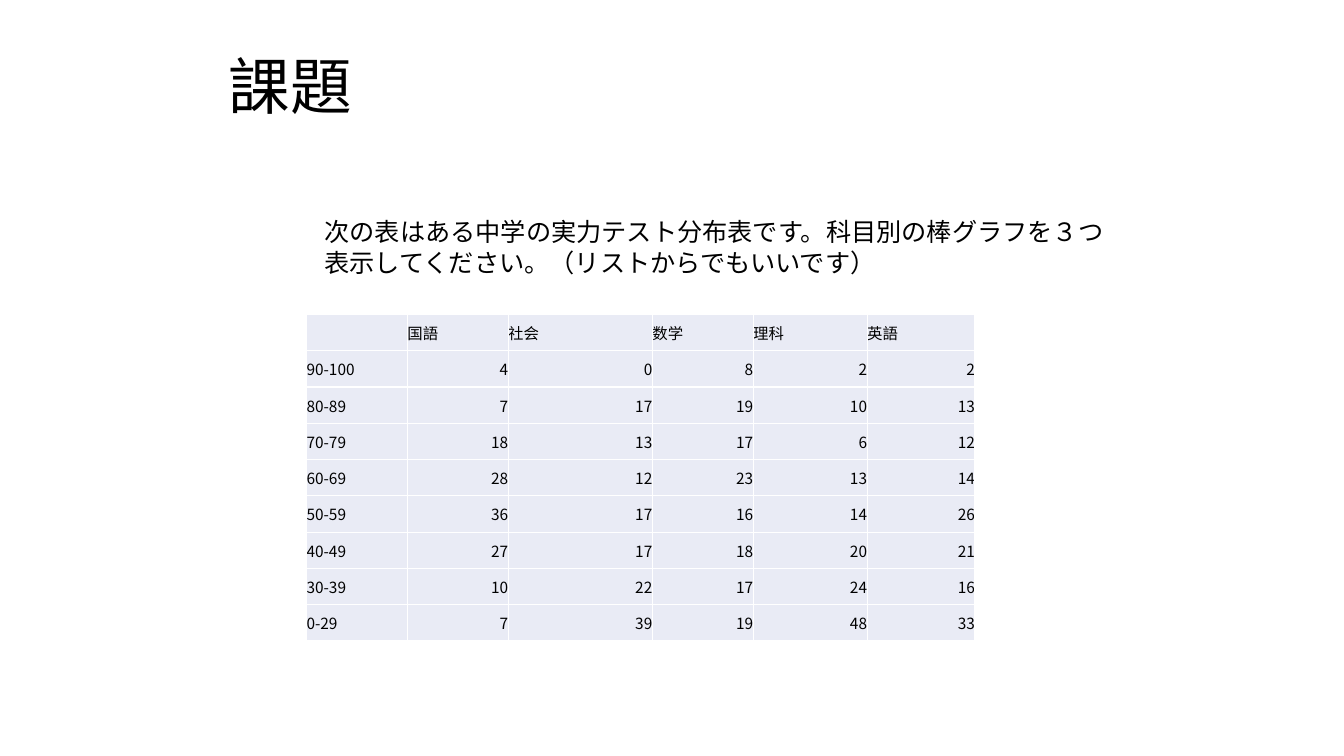
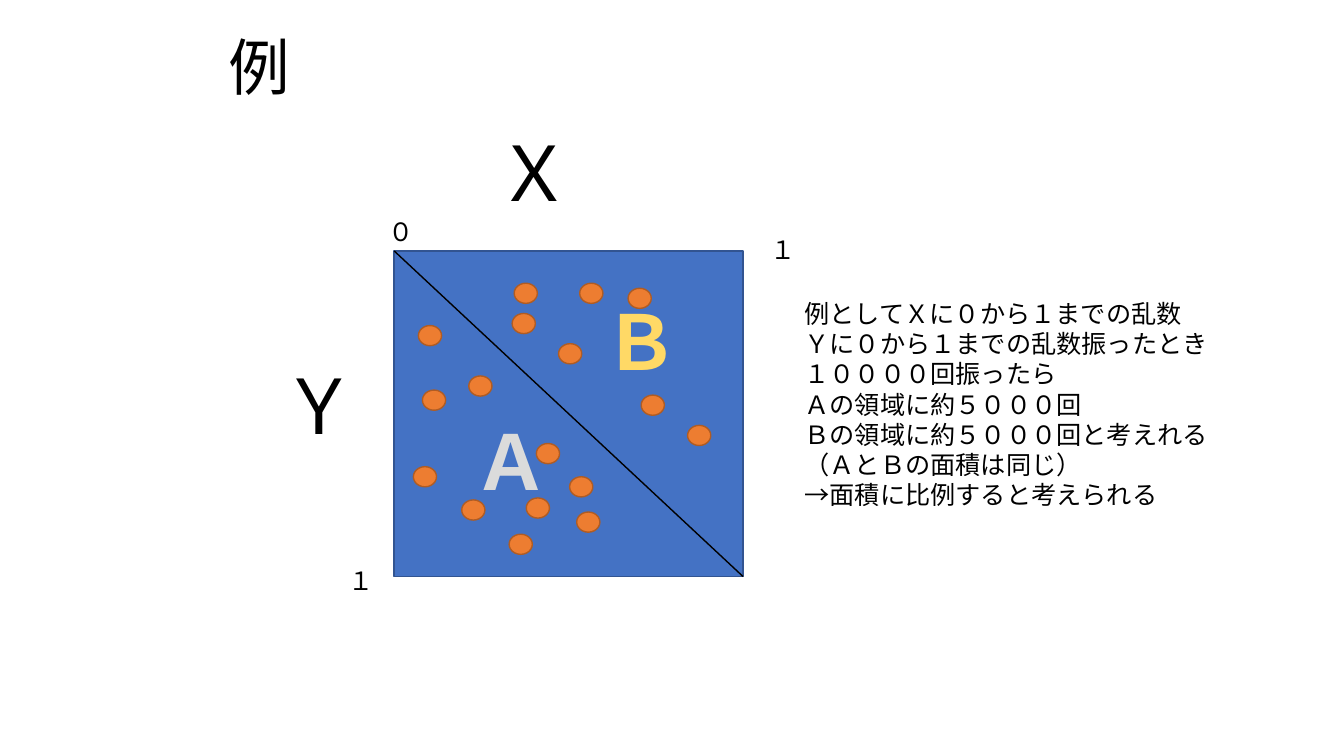
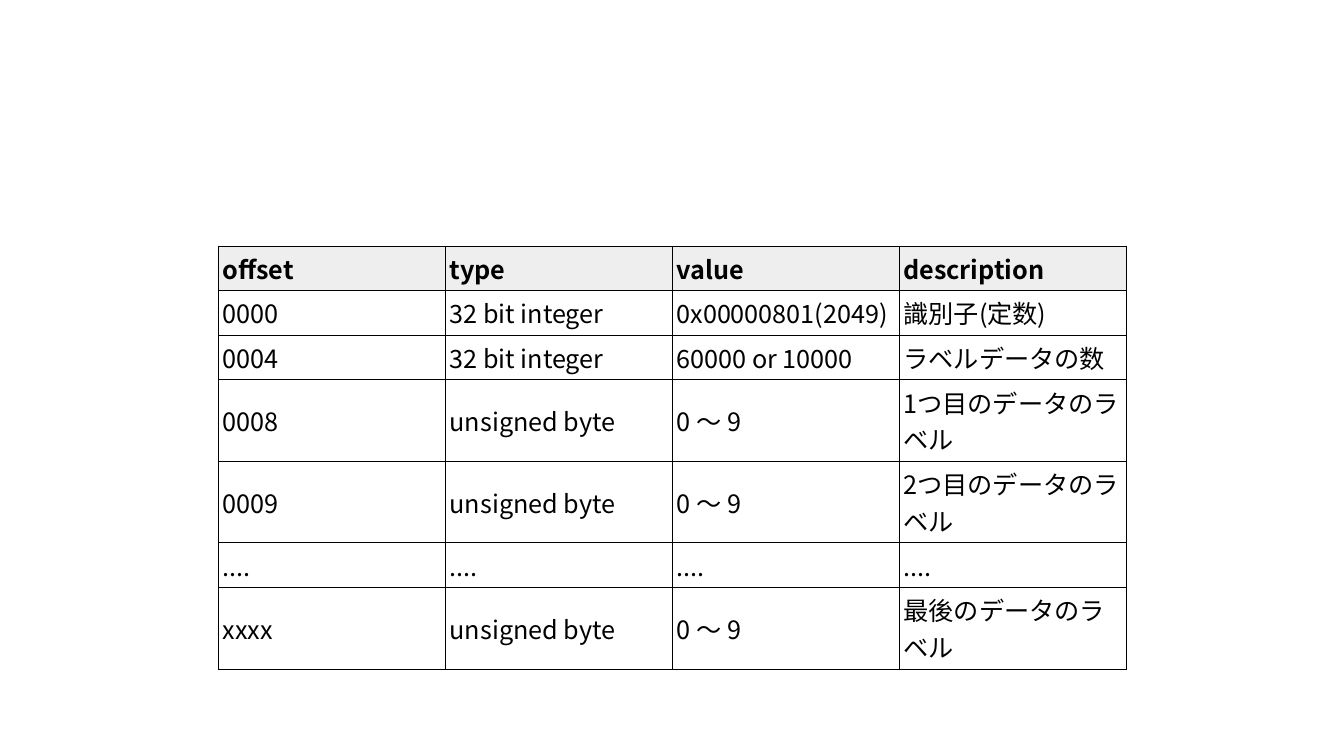
from lxml.etree import SubElement
from pptx import Presentation
from pptx.dml.color import RGBColor
from pptx.enum.shapes import MSO_CONNECTOR, MSO_SHAPE
from pptx.enum.text import MSO_ANCHOR, MSO_AUTO_SIZE, PP_ALIGN
from pptx.oxml.ns import qn
from pptx.util import Inches, Pt

FONT = "Noto Sans CJK JP"
BLACK, WHITE = "000000", "FFFFFF"
PALE_BLUE, HEADER_GREY = "E9EBF5", "EEEEEE"
BLUE, DARK_BLUE = "4472C4", "325491"
ORANGE, DARK_ORANGE = "ED7D31", "AF5C24"
SILVER, YELLOW = "DBDBDB", "FFD966"

rgb = RGBColor.from_string


def write(frame, text, size, color=BLACK, bold=False, align=PP_ALIGN.LEFT, spacing=1.0):
    """Put text in a frame, one paragraph a line, in the deck's font."""
    frame.text = text
    for paragraph in frame.paragraphs:
        paragraph.alignment = align
        paragraph.line_spacing = spacing
        for run in paragraph.runs:
            for name, value in {"name": FONT, "size": Pt(size), "bold": bold}.items():
                setattr(run.font, name, value)
            run.font.color.rgb = rgb(color)
            SubElement(run.font._element, qn("a:ea"), typeface=FONT)


def add_grid(slide, rows, left, top, widths, heights, size, inset, border, border_width,
             body_fill, header_fill, header_bold=False):
    """Add a bordered table; numbers go to the right, words to the left."""
    table = slide.shapes.add_table(
        len(rows), len(widths), Inches(left), Inches(top),
        Inches(sum(widths)), Inches(sum(heights))).table
    table.first_row = table.horz_banding = False
    for column, width in zip(table.columns, widths):
        column.width = Inches(width)
    for row, height in zip(table.rows, heights):
        row.height = Inches(height)
    for r, values in enumerate(rows):
        for c, value in enumerate(values):
            cell = table.cell(r, c)
            align = PP_ALIGN.RIGHT if isinstance(value, int) else PP_ALIGN.LEFT
            write(cell.text_frame, str(value), size, bold=header_bold and r == 0, align=align)
            cell.vertical_anchor = MSO_ANCHOR.MIDDLE
            for side in ("left", "right", "top", "bottom"):
                setattr(cell, f"margin_{side}", Inches(inset))
                edge = SubElement(cell._tc.get_or_add_tcPr(), qn(f"a:ln{side[0].upper()}"),
                                  w=str(Pt(border_width)))
                SubElement(SubElement(edge, qn("a:solidFill")), qn("a:srgbClr"), val=border)
            cell.fill.solid()
            cell.fill.fore_color.rgb = rgb(header_fill if r == 0 else body_fill)


prs = Presentation()
prs.slide_width, prs.slide_height = Inches(13.33), Inches(7.5)
title_only, blank = prs.slide_layouts[5], prs.slide_layouts[6]

task_slide = prs.slides.add_slide(title_only)
example_slide = prs.slides.add_slide(title_only)
format_slide = prs.slides.add_slide(blank)

for slide, heading, height in [(task_slide, "課題", 1.17), (example_slide, "例", 0.81)]:
    title = slide.shapes.title
    title.left, title.top = Inches(2.17), Inches(0.3)
    title.width, title.height = Inches(9), Inches(height)
    write(title.text_frame, heading, 44, spacing=0.9)
    title.text_frame.vertical_anchor = MSO_ANCHOR.MIDDLE

# Task: score distribution
scores = [
    ["", "国語", "社会", "数学", "理科", "英語"],
    ["90-100", 4, 0, 8, 2, 2],
    ["80-89", 7, 17, 19, 10, 13],
    ["70-79", 18, 13, 17, 6, 12],
    ["60-69", 28, 12, 23, 13, 14],
    ["50-59", 36, 17, 16, 14, 26],
    ["40-49", 27, 17, 18, 20, 21],
    ["30-39", 10, 22, 17, 24, 16],
    ["0-29", 7, 39, 19, 48, 33],
]
add_grid(task_slide, scores, 3.04, 3.12, [1, 1, 1.43, 1, 1.13, 1.07], [0.36] * len(scores),
         size=11, inset=0, border=WHITE, border_width=1,
         body_fill=PALE_BLUE, header_fill=PALE_BLUE)

# Example: random points in a unit square
square_left, square_top, square_width, square_height = 3.91, 2.49, 3.46, 3.23
point_width, point_height = 0.23, 0.2
points = [
    (5.72, 5.08), (4.58, 4.96), (4.19, 3.87), (5.1, 2.81), (6.23, 2.86), (6.82, 4.22),
    (5.54, 3.41), (4.15, 3.23), (4.1, 4.63), (5.08, 3.11), (4.65, 3.73), (5.22, 4.94),
    (5.75, 2.81), (5.05, 5.3), (5.32, 4.4), (6.36, 3.92), (5.65, 4.73),
]
square = (MSO_SHAPE.RECTANGLE, square_left, square_top, square_width, square_height,
          BLUE, DARK_BLUE)
dots = [(MSO_SHAPE.OVAL, x, y, point_width, point_height, ORANGE, DARK_ORANGE)
        for x, y in points]
for preset, x, y, width, height, fill, outline in [square] + dots:
    shape = example_slide.shapes.add_shape(
        preset, Inches(x), Inches(y), Inches(width), Inches(height))
    shape.shadow.inherit = False
    shape.fill.solid()
    shape.fill.fore_color.rgb = rgb(fill)
    shape.line.color.rgb = rgb(outline)
    shape.line.width = Pt(1)

diagonal = example_slide.shapes.add_connector(
    MSO_CONNECTOR.STRAIGHT, Inches(square_left), Inches(square_top),
    Inches(square_left + square_width), Inches(square_top + square_height))
diagonal.line.color.rgb = rgb(BLACK)
diagonal.line.width = Pt(1)
SubElement(diagonal._element.spPr, qn("a:effectLst"))

# Free text on the first two slides
plain = {"size": 18}
axis = {"size": 54, "align": PP_ALIGN.CENTER}
question = """次の表はある中学の実力テスト分布表です。科目別の棒グラフを３つ
表示してください。（リストからでもいいです）"""
explanation = """例としてＸに０から１までの乱数
Ｙに０から１までの乱数振ったとき
１００００回振ったら
Ａの領域に約５０００回
Ｂの領域に約５０００回と考えれる
（ＡとＢの面積は同じ）
→面積に比例すると考えられる"""
captions = [
    (task_slide, question, 3.12, 2.1, 8.03, 0.71, plain),
    (example_slide, "Ａ", 4.59, 4.07, 0.96, 1.01, {**axis, "color": SILVER, "bold": True}),
    (example_slide, "Ｂ", 5.88, 2.88, 0.96, 1.01, {**axis, "color": YELLOW, "bold": True}),
    (example_slide, "Ｘ", 4.82, 1.2, 0.96, 1.01, axis),
    (example_slide, "Ｙ", 2.69, 3.51, 0.96, 1.01, axis),
    (example_slide, "０", 3.75, 2.1, 0.45, 0.4, plain),
    (example_slide, "１", 3.36, 5.56, 0.45, 0.4, plain),
    (example_slide, "１", 7.54, 2.28, 0.45, 0.4, plain),
    (example_slide, explanation, 7.88, 2.91, 4.24, 2.52, plain),
]
for slide, text, x, y, width, height, look in captions:
    frame = slide.shapes.add_textbox(
        Inches(x), Inches(y), Inches(width), Inches(height)).text_frame
    write(frame, text, **look)
    frame.word_wrap = False
    frame.auto_size = MSO_AUTO_SIZE.SHAPE_TO_FIT_TEXT

# Label file format
fields = [
    ["offset", "type", "value", "description"],
    ["0000", "32 bit integer", "0x00000801(2049)", "識別子(定数)"],
    ["0004", "32 bit integer", "60000 or 10000", "ラベルデータの数"],
    ["0008", "unsigned byte", "0 ～ 9", "1つ目のデータのラベル"],
    ["0009", "unsigned byte", "0 ～ 9", "2つ目のデータのラベル"],
    ["....", "....", "....", "...."],
    ["xxxx", "unsigned byte", "0 ～ 9", "最後のデータのラベル"],
]
one_line, two_lines = 0.44, 0.81
field_heights = [two_lines if "データのラベル" in row[-1] else one_line for row in fields]
add_grid(format_slide, fields, 2.17, 2.44, [2.25] * 4, field_heights,
         size=18, inset=0.04, border=BLACK, border_width=0.75,
         body_fill=WHITE, header_fill=HEADER_GREY, header_bold=True)

prs.save("out.pptx")
